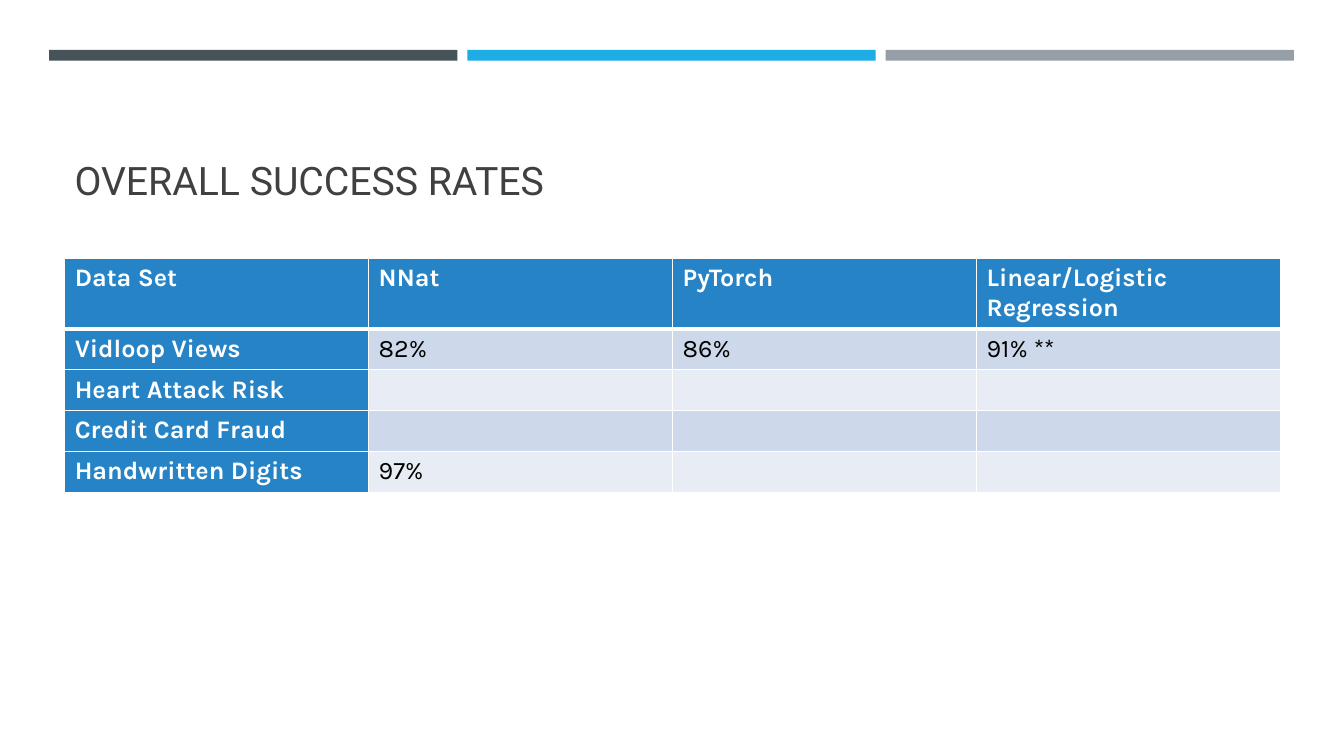
from dataclasses import dataclass

from lxml.etree import SubElement
from pptx import Presentation
from pptx.dml.color import RGBColor as Rgb
from pptx.enum.shapes import MSO_SHAPE as Preset
from pptx.enum.text import MSO_ANCHOR as Anchor
from pptx.oxml.ns import qn
from pptx.slide import Slide
from pptx.table import _Cell as Cell
from pptx.util import Cm, Pt


@dataclass(frozen=True)
class Theme:
    title_font: str = "Roboto"
    table_font: str = "Karla"
    title_size: int = 28
    table_size: int = 18
    title_color: str = "404040"
    heading_fill: str = "2683C6"
    heading_color: str = "FFFFFF"
    value_color: str = "000000"
    border_color: str = "FFFFFF"
    bands: tuple[str, str] = ("CDD9EA", "E8EDF5")
    thin: int = 1
    thick: int = 3


@dataclass(frozen=True)
class Bar:
    column: int
    color: str


@dataclass(frozen=True)
class Result:
    data_set: str
    nnat: str = ""
    pytorch: str = ""
    regression: str = ""

    def cells(self) -> tuple[str, ...]:
        return self.data_set, self.nnat, self.pytorch, self.regression


THEME = Theme()
BARS = [Bar(0, "465359"), Bar(1, "1CADE4"), Bar(2, "969FA7")]
RESULTS = [
    Result("Data Set", "NNat", "PyTorch", "Linear/Logistic Regression"),
    Result("Vidloop Views", "82%", "86%", "91% **"),
    Result("Heart Attack Risk"),
    Result("Credit Card Fraud"),
    Result("Handwritten Digits", "97%"),
]
LEFT, WIDTH = 1.63, 30.64
ROW_HEIGHT = 1.03


def add_bar(page: Slide, bar: Bar) -> None:
    left = 1.24 + 10.54 * bar.column
    shape = page.shapes.add_shape(Preset.RECTANGLE, Cm(left), Cm(1.26), Cm(10.29), Cm(0.27))
    shape.shadow.inherit = False
    shape.fill.solid()
    shape.fill.fore_color.rgb = Rgb.from_string(bar.color)
    shape.line.fill.background()


def add_title(page: Slide, text: str) -> None:
    box = page.shapes.add_textbox(Cm(LEFT), Cm(1.96), Cm(WIDTH), Cm(3.3))
    frame = box.text_frame
    frame.word_wrap = True
    frame.vertical_anchor = Anchor.BOTTOM
    para = frame.paragraphs[0]
    para.text = text
    para.font.name = THEME.title_font
    para.font.size = Pt(THEME.title_size)
    para.font.color.rgb = Rgb.from_string(THEME.title_color)


def set_borders(cell: Cell, top: int, bottom: int) -> None:
    """Draw all four cell edges; the widths are in points."""
    widths = {"a:lnL": THEME.thin, "a:lnR": THEME.thin, "a:lnT": top, "a:lnB": bottom}
    properties = cell._tc.get_or_add_tcPr()
    for tag, width in widths.items():
        line = SubElement(properties, qn(tag), w=str(Pt(width)))
        fill = SubElement(line, qn("a:solidFill"))
        SubElement(fill, qn("a:srgbClr"), val=THEME.border_color)


def style_cell(cell: Cell, text: str, row: int, column: int) -> None:
    is_heading = row == 0 or column == 0
    set_borders(
        cell,
        top=THEME.thick if row == 1 else THEME.thin,
        bottom=THEME.thick if row == 0 else THEME.thin,
    )
    fill = THEME.heading_fill if is_heading else THEME.bands[(row - 1) % 2]
    cell.fill.solid()
    cell.fill.fore_color.rgb = Rgb.from_string(fill)
    para = cell.text_frame.paragraphs[0]
    para.text = text
    para.font.name = THEME.table_font
    para.font.size = Pt(THEME.table_size)
    para.font.bold = is_heading
    color = THEME.heading_color if is_heading else THEME.value_color
    para.font.color.rgb = Rgb.from_string(color)


def add_results(page: Slide, results: list[Result]) -> None:
    rows, columns = len(results), len(results[0].cells())
    frame = page.shapes.add_table(
        rows, columns, Cm(LEFT), Cm(6.51), Cm(WIDTH), Cm(ROW_HEIGHT * rows)
    )
    table = frame.table
    table.first_row = False
    table.horz_banding = False
    for row, result in enumerate(results):
        for column, text in enumerate(result.cells()):
            style_cell(table.cell(row, column), text, row, column)


def main() -> None:
    deck = Presentation()
    deck.slide_width, deck.slide_height = Cm(33.87), Cm(19.05)
    page = deck.slides.add_slide(deck.slide_layouts[6])
    for bar in BARS:
        add_bar(page, bar)
    add_title(page, "OVERALL SUCCESS RATES")
    add_results(page, RESULTS)
    deck.save("out.pptx")


if __name__ == "__main__":
    main()
